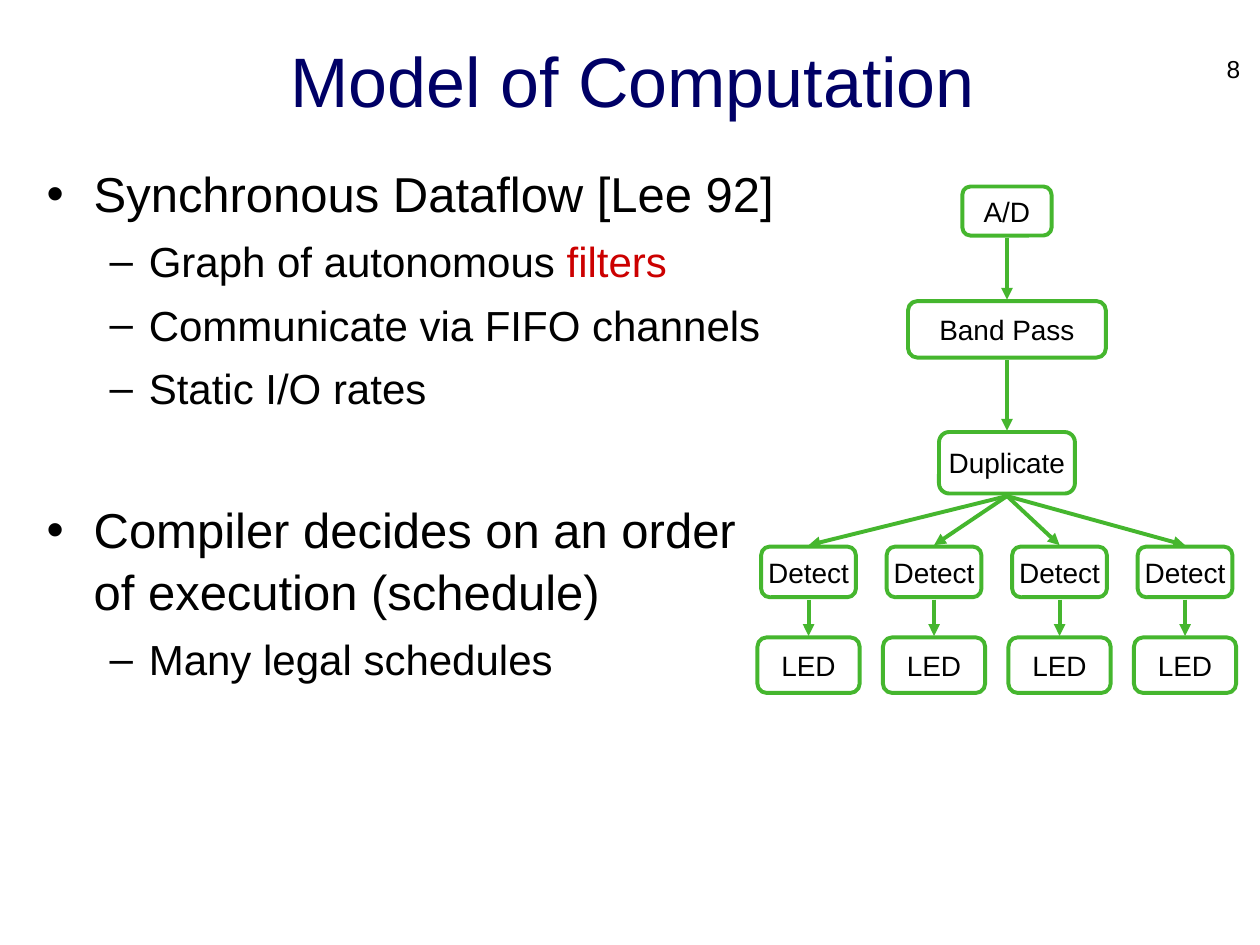
from dataclasses import dataclass

from lxml import etree
from pptx import Presentation
from pptx.dml.color import RGBColor
from pptx.enum.shapes import MSO_CONNECTOR, MSO_SHAPE
from pptx.enum.text import MSO_ANCHOR, PP_ALIGN
from pptx.oxml.ns import qn
from pptx.util import Cm, Pt

LEFT, CENTER, RIGHT = PP_ALIGN.LEFT, PP_ALIGN.CENTER, PP_ALIGN.RIGHT
TOP, MIDDLE = MSO_ANCHOR.TOP, MSO_ANCHOR.MIDDLE
ROUND, STRAIGHT = MSO_SHAPE.ROUNDED_RECTANGLE, MSO_CONNECTOR.STRAIGHT
BLACK, NAVY, RED, GREEN = "000000", "000066", "CC0000", "45B62E"
FONT = "Arial"


@dataclass
class Node:
    """A box of the graph, placed by its centre line and top, in cm."""
    text: str
    mid: float
    top: float
    width: float
    height: float

    @property
    def base(self) -> float:
        return self.top + self.height


@dataclass
class Level:
    mark: str
    size: int
    indent: float
    hang: float
    before: int


@dataclass
class Item:
    level: Level
    words: list[tuple[str, str]]
    before: int | None = None


MAIN = Level("•", 28, 0.95, 0.95, 7)
SUB = Level("–", 24, 2.06, 0.79, 6)
ITEMS = [
    Item(MAIN, [("Synchronous Dataflow [Lee 92]", BLACK)], before=0),
    Item(SUB, [("Graph of autonomous ", BLACK), ("filters", RED)]),
    Item(SUB, [("Communicate via FIFO channels", BLACK)]),
    Item(SUB, [("Static I/O rates", BLACK)]),
    Item(MAIN, [("Compiler decides on an order\nof execution (schedule)", BLACK)],
         before=48),
    Item(SUB, [("Many legal schedules", BLACK)]),
]

TRUNK_MID = 20.3
TRUNK = [
    Node("A/D", TRUNK_MID, 3.76, 1.8, 0.99),
    Node("Band Pass", TRUNK_MID, 6.07, 3.99, 1.14),
    Node("Duplicate", TRUNK_MID, 8.71, 2.74, 1.24),
]
BRANCHES, FIRST_MID, STEP = 4, 16.3, 2.53


def color(code: str) -> RGBColor:
    return RGBColor.from_string(code)


def write(para, text: str, *, size: int, tint: str = BLACK, align=LEFT) -> None:
    """Add text to a paragraph; a newline becomes a line break."""
    para.alignment = align
    for i, line in enumerate(text.split("\n")):
        if i:
            para.add_line_break()
        run = para.add_run()
        run.text = line
        run.font.name, run.font.size = FONT, Pt(size)
        run.font.color.rgb = color(tint)


def add_box(slide, left: float, top: float, width: float, height: float, anchor=TOP):
    box = slide.shapes.add_textbox(Cm(left), Cm(top), Cm(width), Cm(height))
    frame = box.text_frame
    frame.word_wrap, frame.vertical_anchor = True, anchor
    return frame


def set_mark(para, level: Level) -> None:
    """Give a paragraph its bullet and hanging indent."""
    props = para._p.get_or_add_pPr()
    props.set("marL", str(Cm(level.indent)))
    props.set("indent", str(-Cm(level.hang)))
    etree.SubElement(props, qn("a:buFont")).set("typeface", FONT)
    etree.SubElement(props, qn("a:buChar")).set("char", level.mark)


def add_list(frame, items: list[Item]) -> None:
    for i, item in enumerate(items):
        para = frame.add_paragraph() if i else frame.paragraphs[0]
        level = item.level
        set_mark(para, level)
        para.level = 0 if level is MAIN else 1
        para.line_spacing = 1.05
        para.space_before = Pt(level.before if item.before is None else item.before)
        for text, tint in item.words:
            write(para, text, size=level.size, tint=tint)


def add_node(slide, node: Node) -> None:
    shape = slide.shapes.add_shape(
        ROUND, Cm(node.mid - node.width / 2), Cm(node.top),
        Cm(node.width), Cm(node.height))
    shape.shadow.inherit = False
    shape.fill.background()
    shape.line.color.rgb = color(GREEN)
    shape.line.width = Pt(2.25)
    frame = shape.text_frame
    frame.word_wrap, frame.vertical_anchor = False, MIDDLE
    write(frame.paragraphs[0], node.text, size=16, align=CENTER)


def add_arrow(slide, start: Node, end: Node) -> None:
    """Join the base of one node to the top of the next."""
    line = slide.shapes.add_connector(
        STRAIGHT, Cm(start.mid), Cm(start.base + 0.05),
        Cm(end.mid), Cm(end.top - 0.03))
    line.line.color.rgb = color(GREEN)
    line.line.width = Pt(2.25)
    etree.SubElement(line.line._get_or_add_ln(), qn("a:tailEnd")).set("type", "triangle")
    etree.SubElement(line._element.spPr, qn("a:effectLst"))


def add_graph(slide) -> None:
    nodes, links = list(TRUNK), list(zip(TRUNK, TRUNK[1:]))
    for i in range(BRANCHES):
        mid = FIRST_MID + i * STEP
        detect = Node("Detect", mid, 11.02, 1.91, 1.02)
        led = Node("LED", mid, 12.85, 2.06, 1.12)
        nodes += [detect, led]
        links += [(TRUNK[-1], detect), (detect, led)]
    for node in nodes:
        add_node(slide, node)
    for start, end in links:
        add_arrow(slide, start, end)


def main() -> None:
    deck = Presentation()
    deck.slide_width, deck.slide_height = Cm(25.4), Cm(19.05)
    slide = deck.slides.add_slide(deck.slide_layouts[6])
    title = add_box(slide, 0.74, 0.48, 24.03, 2.24, MIDDLE)
    write(title.paragraphs[0], "Model of Computation", size=40, tint=NAVY, align=CENTER)
    add_list(add_box(slide, 0.69, 3.12, 24.05, 14.6), ITEMS)
    add_graph(slide)
    number = add_box(slide, 24.03, 0.97, 1.22, 0.76)
    write(number.paragraphs[0], "8", size=14, align=RIGHT)
    deck.save("out.pptx")


if __name__ == "__main__":
    main()
